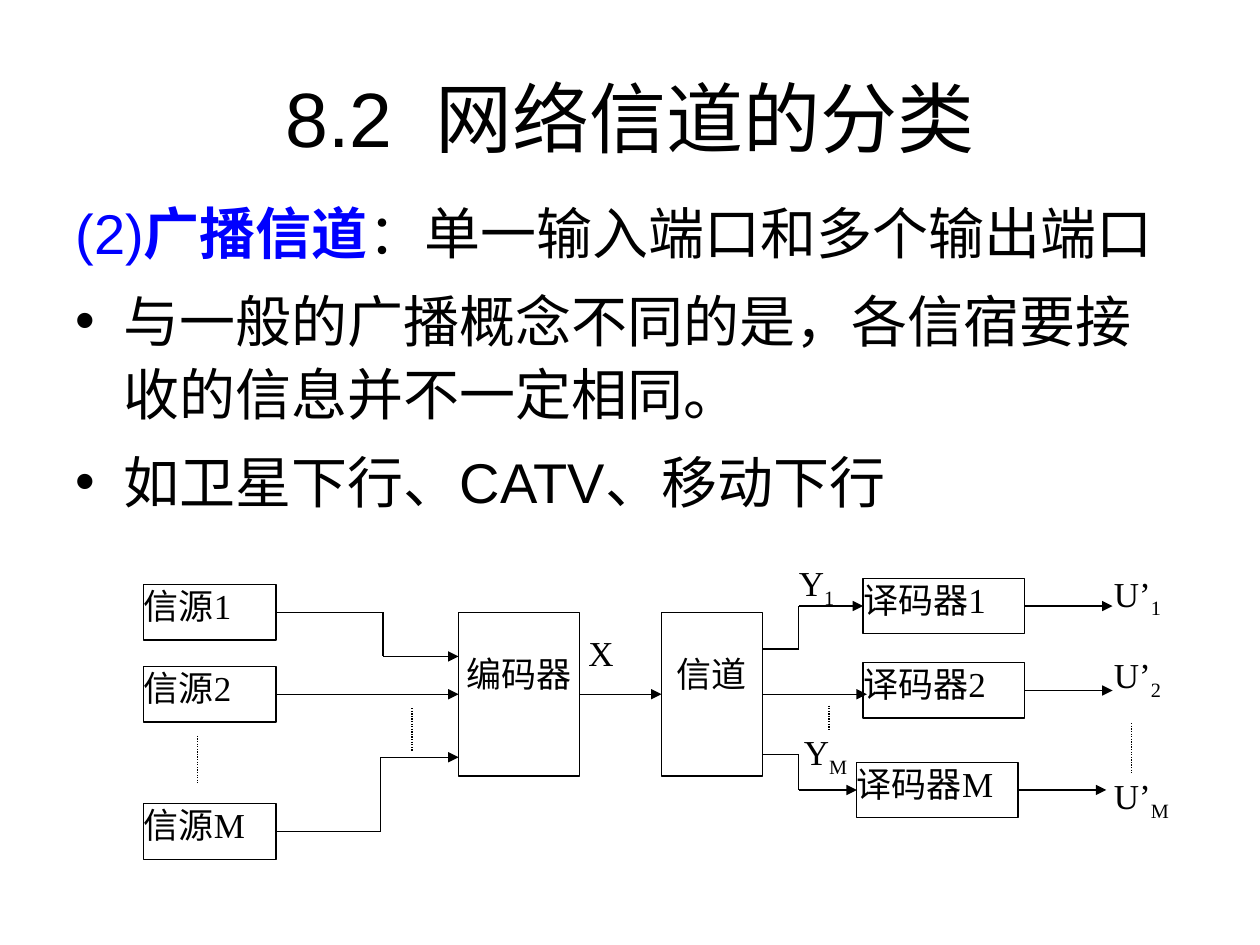
from typing import NamedTuple, Optional

from lxml import etree
from pptx import Presentation, util as u
from pptx.dml.color import RGBColor
from pptx.enum import dml, shapes, text
from pptx.oxml.ns import qn

BLACK, WHITE, BLUE = "000000", "FFFFFF", "0000FF"
SANS, SERIF = "Arial", "Times New Roman"
LEFT, RIGHT = 1, 3  # connection sites of a rectangle


class Run(NamedTuple):
    text: str
    color: str = BLACK
    bold: bool = False
    sub: bool = False


class Block(NamedTuple):
    label: str
    left: float
    top: float
    width: float
    height: float = 0.44
    inset: float = 0  # space above the text
    align: text.PP_ALIGN = text.PP_ALIGN.JUSTIFY


class Label(NamedTuple):
    base: str
    sub: str
    left: float
    top: float
    width: float = 0.48
    height: float = 0.44


def rgb(color: str) -> RGBColor:
    return RGBColor.from_string(color)


def add_runs(p, runs: list[Run], size: float, font: str) -> None:
    for run in runs:
        r = p.add_run()
        r.text = run.text
        r.font.size, r.font.name, r.font.bold = u.Pt(size), font, run.bold
        r.font.color.rgb = rgb(run.color)
        if run.sub:
            r.font._element.set("baseline", "-25000")


def add_textbox(s, left: float, top: float, width: float, height: float):
    box = s.shapes.add_textbox(*map(u.Inches, (left, top, width, height)))
    tf = box.text_frame
    tf.word_wrap = True
    return tf


def add_rect(s, left: float, top: float, width: float, height: float,
             runs: list[Run], align=text.PP_ALIGN.JUSTIFY,
             inset: float = 0, outline: bool = False):
    sp = s.shapes.add_shape(shapes.MSO_SHAPE.RECTANGLE,
                            *map(u.Inches, (left, top, width, height)))
    sp.shadow.inherit = False
    sp.fill.solid()
    sp.fill.fore_color.rgb = rgb(WHITE)
    if outline:
        sp.line.color.rgb = rgb(BLACK)
        sp.line.width = u.Pt(0.75)
    else:
        sp.line.fill.background()
    tf = sp.text_frame
    tf.word_wrap = True
    tf.vertical_anchor = text.MSO_ANCHOR.TOP
    tf.margin_left = tf.margin_right = tf.margin_bottom = 0
    tf.margin_top = u.Inches(inset)
    p = tf.paragraphs[0]
    p.alignment = align
    add_runs(p, runs, 20, SERIF)
    return sp


def add_block(s, b: Block):
    return add_rect(s, b.left, b.top, b.width, b.height, [Run(b.label)],
                    b.align, b.inset, outline=True)


def add_line(s, start: tuple, end: tuple, arrow: bool = False, dotted: bool = False):
    c = s.shapes.add_connector(shapes.MSO_CONNECTOR.STRAIGHT,
                               *map(u.Inches, (*start, *end)))
    c.line.color.rgb = rgb(BLACK)
    c.line.width = u.Pt(0.75)
    if dotted:
        c.line.dash_style = dml.MSO_LINE.ROUND_DOT
    if arrow:
        etree.SubElement(c.line._get_or_add_ln(), qn("a:tailEnd"), type="triangle")
    etree.SubElement(c._element.spPr, qn("a:effectLst"))
    return c


def add_route(s, points: list[tuple], source=None, target=None) -> None:
    """Draw straight legs through the points, with an arrowhead on the last."""
    legs = [add_line(s, a, b, arrow=b is points[-1])
            for a, b in zip(points, points[1:])]
    if source is not None:
        legs[0].begin_connect(source, RIGHT)
    if target is not None:
        legs[-1].end_connect(target, LEFT)


def add_bullet(p, char: Optional[str]) -> None:
    pPr = p._p.get_or_add_pPr()
    pPr.set("marL", str(u.Inches(0.38)))
    pPr.set("indent", str(u.Inches(-0.38)))
    if char:
        etree.SubElement(pPr, qn("a:buFont"), typeface=SANS)
        etree.SubElement(pPr, qn("a:buChar"), char=char)
    else:
        etree.SubElement(pPr, qn("a:buNone"))


def add_heading(s) -> None:
    tf = add_textbox(s, 0.5, 0.3, 9, 1.25)
    tf.vertical_anchor = text.MSO_ANCHOR.MIDDLE
    p = tf.paragraphs[0]
    p.alignment = text.PP_ALIGN.CENTER
    add_runs(p, [Run("8.2  网络信道的分类")], 44, SANS)


def add_body(s) -> None:
    items = [
        (None, [Run("(2)", BLUE), Run("广播信道", BLUE, bold=True),
                Run("：单一输入端口和多个输出端口")]),
        ("•", [Run("与一般的广播概念不同的是，各信宿要接收的信息并不一定相同。")]),
        ("•", [Run("如卫星下行、CATV、移动下行")]),
    ]
    tf = add_textbox(s, 0.5, 1.47, 8.99, 2.91)
    for i, (char, runs) in enumerate(items):
        p = tf.add_paragraph() if i else tf.paragraphs[0]
        add_bullet(p, char)
        p.line_spacing = 1.1
        if i:
            p.space_before = u.Pt(8)
        add_runs(p, runs, 32, SANS)


def add_diagram(s) -> None:
    # Blocks
    src1, src2, src_m = [add_block(s, Block(f"信源{n}", 1.14, top, 1.05))
                         for n, top in (("1", 4.64), ("2", 5.29), ("M", 6.38))]
    decoders = [Block("译码器1", 6.85, 4.59, 1.28),
                Block("译码器2", 6.85, 5.26, 1.28),
                Block("译码器M", 6.8, 6.05, 1.28)]
    dec1, dec2, dec_m = [add_block(s, b) for b in decoders]
    center = text.PP_ALIGN.CENTER
    channel = add_block(s, Block("信道", 5.25, 4.86, 0.8, 1.3, 0.32, center))
    encoder = add_block(s, Block("编码器", 3.64, 4.86, 0.96, 1.3, 0.32, center))

    # Sources to encoder, encoder to channel
    add_route(s, [(2.19, 4.86), (3.04, 4.86), (3.04, 5.21), (3.64, 5.21)], src1)
    add_route(s, [(2.19, 5.51), (3.64, 5.51)], src2, encoder)
    add_route(s, [(2.19, 6.6), (3.02, 6.6), (3.02, 6.01), (3.64, 6.01)], src_m)
    add_route(s, [(4.6, 5.51), (5.25, 5.51)], encoder, channel)

    # Channel to decoders
    add_route(s, [(6.05, 5.15), (6.34, 5.15), (6.34, 4.81), (6.85, 4.81)], target=dec1)
    add_route(s, [(6.05, 5.51), (6.88, 5.51)], channel)
    add_route(s, [(6.05, 5.99), (6.34, 5.99), (6.34, 6.27), (6.8, 6.27)], target=dec_m)

    # Decoders to outputs
    for b, sp in zip(decoders, (dec1, dec2, dec_m)):
        right, middle = b.left + b.width, b.top + b.height / 2
        add_route(s, [(right, middle), (right + 0.7, middle)], sp)

    # Dotted continuation marks
    for x, top, bottom in ((1.57, 5.84, 6.21), (3.27, 5.62, 5.96),
                           (6.58, 5.6, 5.89), (8.98, 5.74, 6.13)):
        add_line(s, (x, top), (x, bottom), dotted=True)

    # Signal labels
    for lb in (Label("Y", "M", 6.38, 5.8, 0.41, 0.35), Label("X", "", 4.67, 5.01),
               Label("U’", "1", 8.84, 4.54), Label("U’", "2", 8.84, 5.19),
               Label("U’", "M", 8.84, 6.15), Label("Y", "1", 6.34, 4.46, 0.41, 0.34)):
        runs = [Run(lb.base)] + ([Run(lb.sub, sub=True)] if lb.sub else [])
        add_rect(s, lb.left, lb.top, lb.width, lb.height, runs)


def main() -> None:
    prs = Presentation()
    prs.slide_width, prs.slide_height = u.Inches(10), u.Inches(7.5)
    s = prs.slides.add_slide(prs.slide_layouts[6])
    add_body(s)
    add_heading(s)
    add_diagram(s)
    prs.save("out.pptx")


if __name__ == "__main__":
    main()
